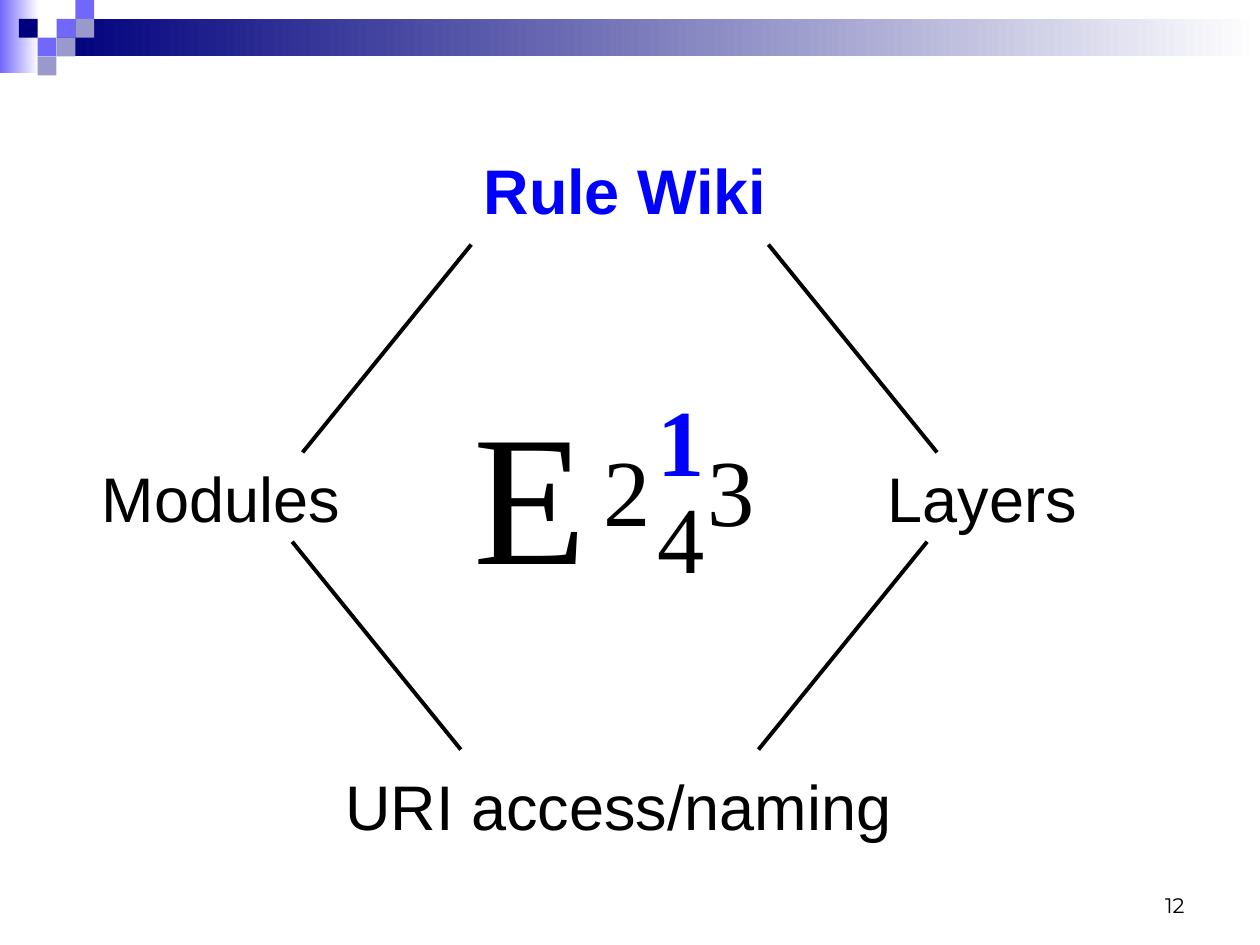
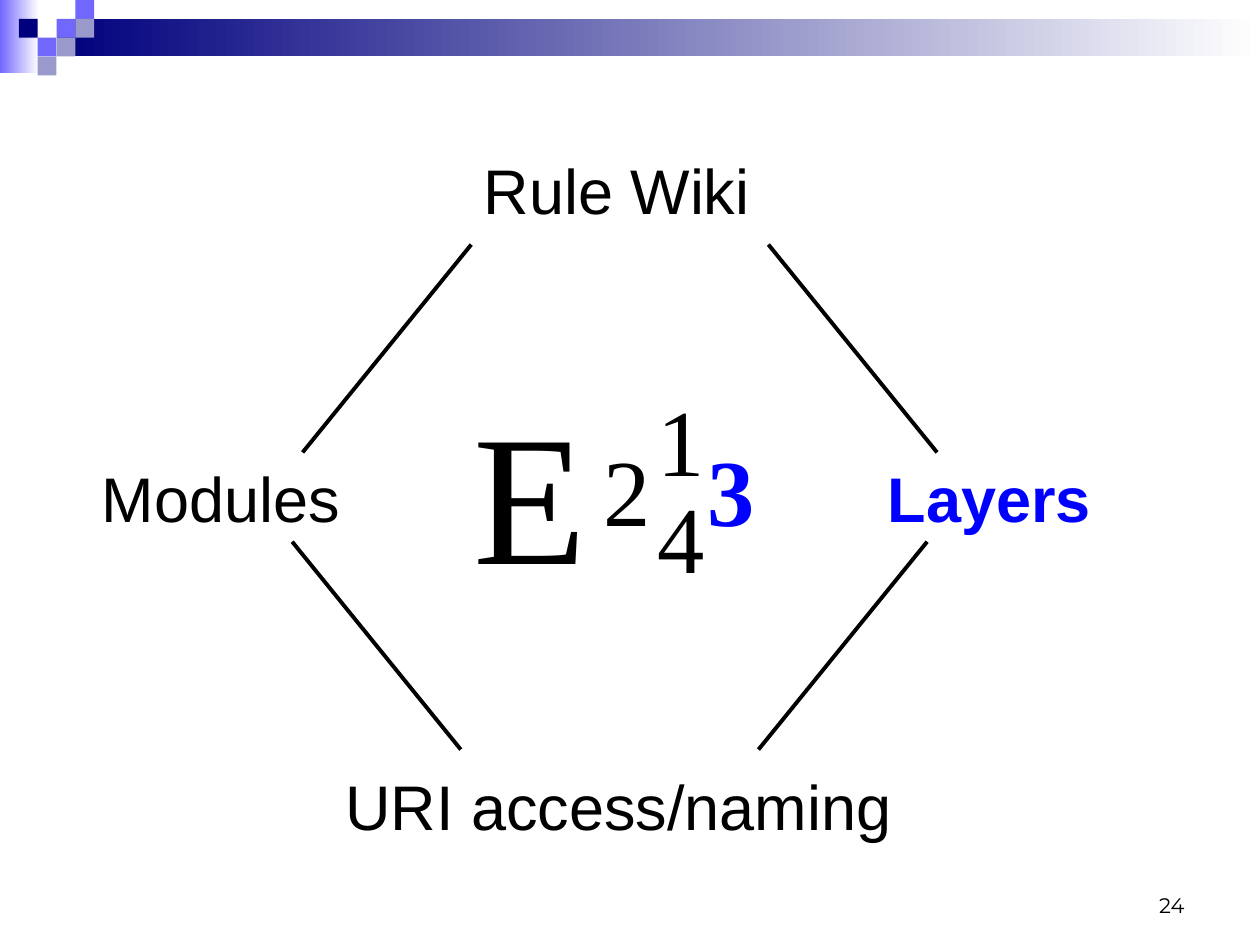
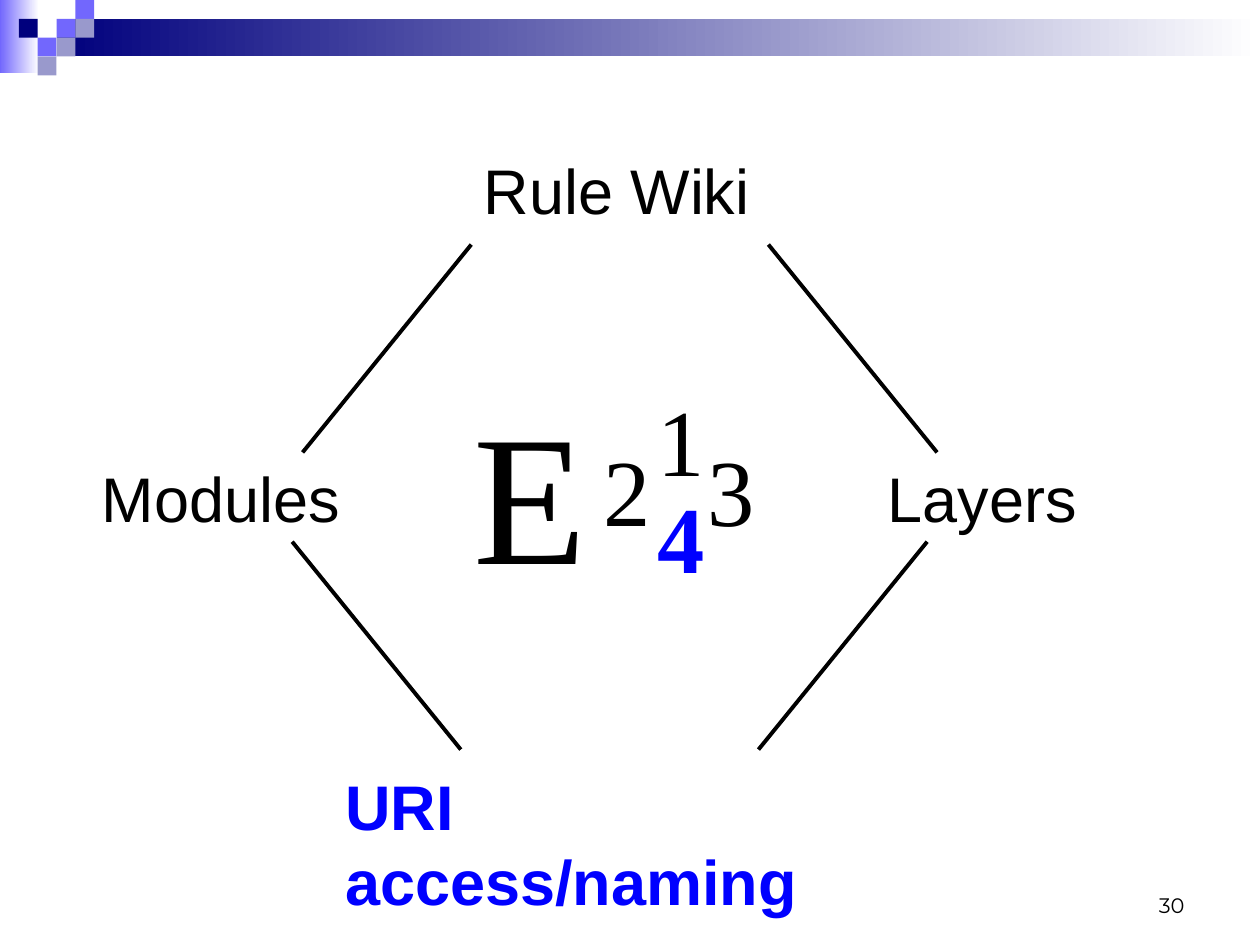
from pptx import Presentation
from pptx.dml.color import RGBColor
from pptx.enum import shapes, text
from pptx.oxml import ns
from pptx.util import Cm, Pt
from lxml import etree

BLACK, BLUE, WHITE = "000000", "0000FF", "FFFFFF"
NAVY, VIOLET, GREY = "00007D", "7267FD", "9999CC"
CELL = 0.38
CELLS = [(3, 1, VIOLET), (4, 0, VIOLET), (4, 1, GREY), (2, 2, VIOLET),
         (1, 1, NAVY), (3, 2, GREY), (2, 3, GREY)]

# digit: left, top within the mark
DIGITS = {"4": (3.7, 2.01), "2": (2.61, 1.07), "3": (4.72, 1.07), "1": (3.7, 0.05)}

# digit: label, left, row, plain width, bold width
LABELS = {"4": ("URI access/naming", 4.91, 2, 11.51, 12.14),
          "1": ("Rule Wiki", 7.7, 0, 5.87, 6.22),
          "2": ("Modules", 0, 1, 5.31, 5.31),
          "3": ("Layers", 15.85, 1, 4.32, 4.6)}
ROW = 6.21

# left, top, run of each edge within the diagram
EDGES = [(7.7, 2.01, -3.4), (16.89, 8, -3.4), (4.09, 8, 3.4), (13.69, 2.01, 3.4)]
DROP = 4.19


def rgb(code):
    return RGBColor.from_string(code)


def write(slide, words, box, size, font="Arial", hot=False, wrap=True, grow=True,
          align=None, anchor=text.MSO_ANCHOR.TOP):
    """Add a text box; hot text is bold and blue."""
    frame = slide.shapes.add_textbox(*map(Cm, box)).text_frame
    frame.word_wrap = wrap
    frame.auto_size = (text.MSO_AUTO_SIZE.SHAPE_TO_FIT_TEXT if grow
                       else text.MSO_AUTO_SIZE.NONE)
    frame.vertical_anchor = anchor
    para = frame.paragraphs[0]
    para.alignment = align
    run = para.add_run()
    run.text = words
    run.font.name, run.font.size = font, Pt(size)
    run.font.bold = hot
    run.font.color.rgb = rgb(BLUE if hot else BLACK)


def block(slide, box, color, fade=False):
    """Add a rectangle, plain or fading to white on the right."""
    shape = slide.shapes.add_shape(shapes.MSO_SHAPE.RECTANGLE, *map(Cm, box))
    shape.shadow.inherit = False
    shape.line.fill.background()
    if fade:
        shape.fill.gradient()
        shape.fill.gradient_angle = 180
        for stop, code in zip(shape.fill.gradient_stops, (WHITE, color)):
            stop.color.rgb = rgb(code)
    else:
        shape.fill.solid()
        shape.fill.fore_color.rgb = rgb(color)
    return shape


def header(slide, master):
    """Draw the band on a slide, then move it to the master for all slides."""
    parts = [block(slide, (0, 0, 0.78, 1.48), VIOLET, fade=True),
             block(slide, (3 * CELL, CELL, 24.26, 2 * CELL), NAVY, fade=True)]
    parts += [block(slide, (col * CELL, row * CELL, CELL, CELL), color)
              for col, row, color in CELLS]
    for part in parts:
        master.shapes.element.append(part.element)


def edge(slide, x, y, run):
    line = slide.shapes.add_connector(shapes.MSO_CONNECTOR.STRAIGHT,
                                      Cm(x), Cm(y), Cm(x + run), Cm(y + DROP))
    line.line.color.rgb = rgb(BLACK)
    line.line.width = Pt(2.25)
    etree.SubElement(line.element.spPr, ns.qn("a:effectLst"))


def mark(slide, x, y, hot):
    """Draw the E with its four digits."""
    for digit, (dx, dy) in DIGITS.items():
        write(slide, digit, (x + dx, y + dy, 0.69, 2.54), 54,
              font="Times New Roman", hot=digit == hot)
    write(slide, "E", (x, y, 1.45, 4.75), 106, font="Times New Roman")


def diamond(slide, x, y, hot):
    """Draw the four labels and the edges between them."""
    for digit, (label, dx, row, plain, bold) in LABELS.items():
        width = bold if digit == hot else plain
        write(slide, label, (x + dx, y + row * ROW, width, 1.78), 36,
              hot=digit == hot, wrap=False)
    for dx, dy, run in EDGES:
        edge(slide, x + dx, y + dy, run)


def main():
    deck = Presentation()
    deck.slide_width, deck.slide_height = Cm(25.4), Cm(19.05)
    for number, hot in (("12", "1"), ("24", "3"), ("30", "4")):
        slide = deck.slides.add_slide(deck.slide_layouts[6])
        if len(deck.slides) == 1:
            header(slide, deck.slide_master)
        mark(slide, 9.3, 7.52, hot)
        diamond(slide, 1.8, 2.92, hot)
        write(slide, number, (18.21, 17.35, 5.92, 1.27), 12, font="Montserrat",
              grow=False, align=text.PP_ALIGN.RIGHT, anchor=text.MSO_ANCHOR.BOTTOM)
    deck.save("out.pptx")


if __name__ == "__main__":
    main()
